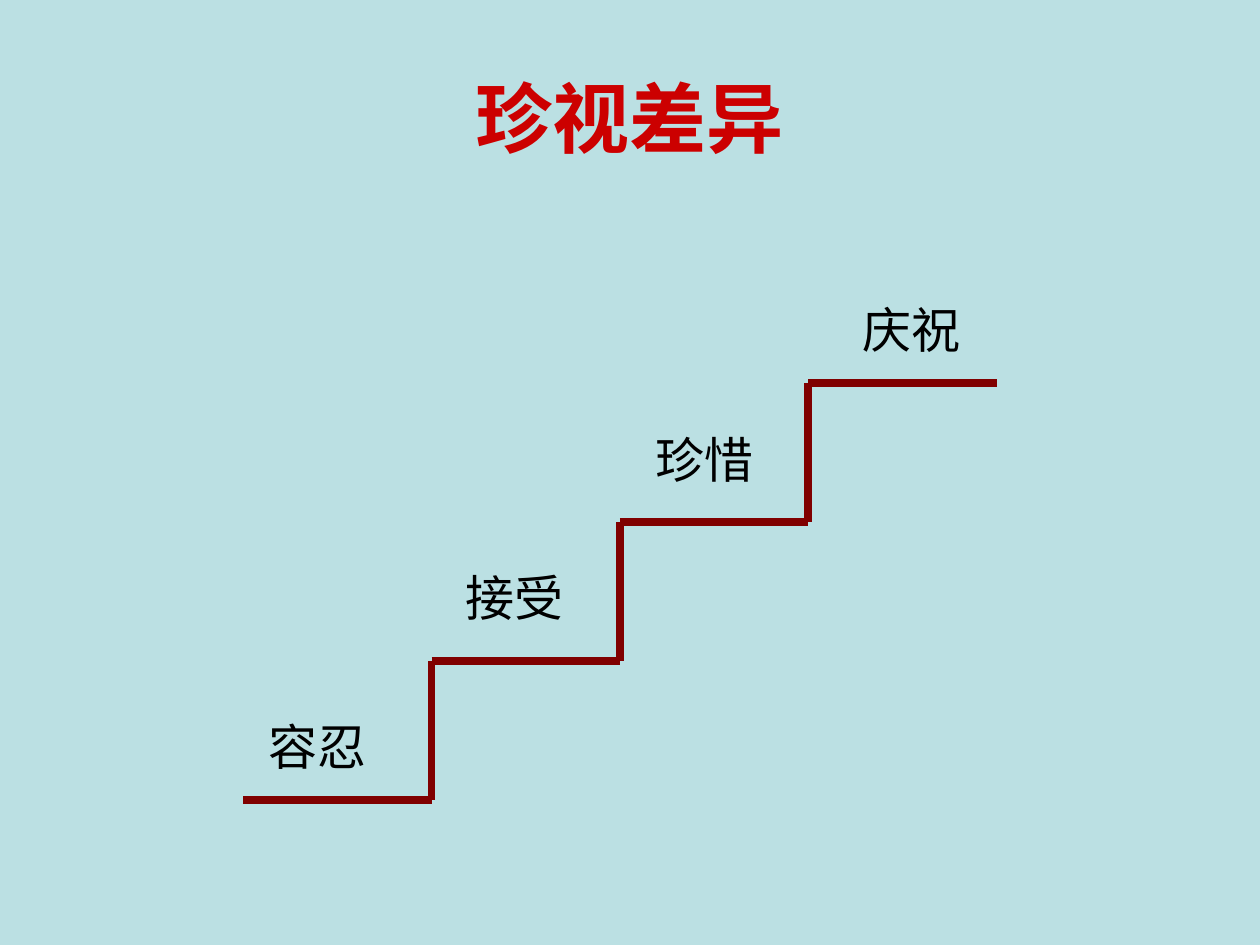
from lxml import etree
from pptx import Presentation
from pptx.dml.color import RGBColor
from pptx.enum.shapes import MSO_CONNECTOR
from pptx.enum.text import MSO_ANCHOR, PP_ALIGN
from pptx.oxml.ns import qn
from pptx.util import Inches, Pt

STRAIGHT = MSO_CONNECTOR.STRAIGHT
MIDDLE, TOP = MSO_ANCHOR.MIDDLE, MSO_ANCHOR.TOP
CENTER = PP_ALIGN.CENTER

FONT = "Arial"
COLORS = {"background": "BBE0E3", "title": "CC0000", "stairs": "800000", "label": "000000"}

# Label and its box's offset from the left end of its tread, in inches
STEPS = [
    ("容忍", 0.08, -0.71),
    ("接受", 0.15, -0.79),
    ("珍惜", 0.16, -0.78),
    ("庆祝", 0.31, -0.71),
]


def color(name):
    return RGBColor.from_string(COLORS[name])


def add_text(slide, text, left, top, width, height, size, color_name, bold=False, anchor=TOP):
    box = slide.shapes.add_textbox(left, top, width, height)
    frame = box.text_frame
    frame.word_wrap = True
    frame.vertical_anchor = anchor
    frame.text = text
    paragraph = frame.paragraphs[0]
    paragraph.alignment = CENTER
    font = paragraph.runs[0].font
    font.name, font.size, font.bold = FONT, Pt(size), bold
    font.color.rgb = color(color_name)


def add_stair_line(slide, x1, y1, x2, y2):
    line = slide.shapes.add_connector(STRAIGHT, x1, y1, x2, y2)
    line.line.color.rgb = color("stairs")
    line.line.width = Pt(4.5)
    etree.SubElement(line._element.spPr, qn("a:effectLst"))


def add_staircase(slide, left, top, width, height):
    """Draw rising steps that fill the box, with a label above each tread."""
    tread = width / len(STEPS)
    rise = height / (len(STEPS) - 1)
    for index, (label, dx, dy) in enumerate(STEPS):
        x = round(left + index * tread)
        y = round(top + height - index * rise)
        add_stair_line(slide, x, y, round(x + tread), y)
        if index:
            add_stair_line(slide, x, y, x, round(y + rise))
        add_text(slide, label, x + Inches(dx), y + Inches(dy),
                 Inches(1.02), Inches(0.57), 28, "label")


def main():
    presentation = Presentation()
    presentation.slide_width, presentation.slide_height = Inches(10), Inches(7.5)
    slide = presentation.slides.add_slide(presentation.slide_layouts[6])
    background = slide.background.fill
    background.solid()
    background.fore_color.rgb = color("background")

    add_text(slide, "珍视差异", Inches(0.5), Inches(0.3), Inches(9), Inches(1.25),
             44, "title", bold=True, anchor=MIDDLE)
    add_staircase(slide, Inches(1.93), Inches(3.04), Inches(5.98), Inches(3.31))
    presentation.save("out.pptx")


if __name__ == "__main__":
    main()
